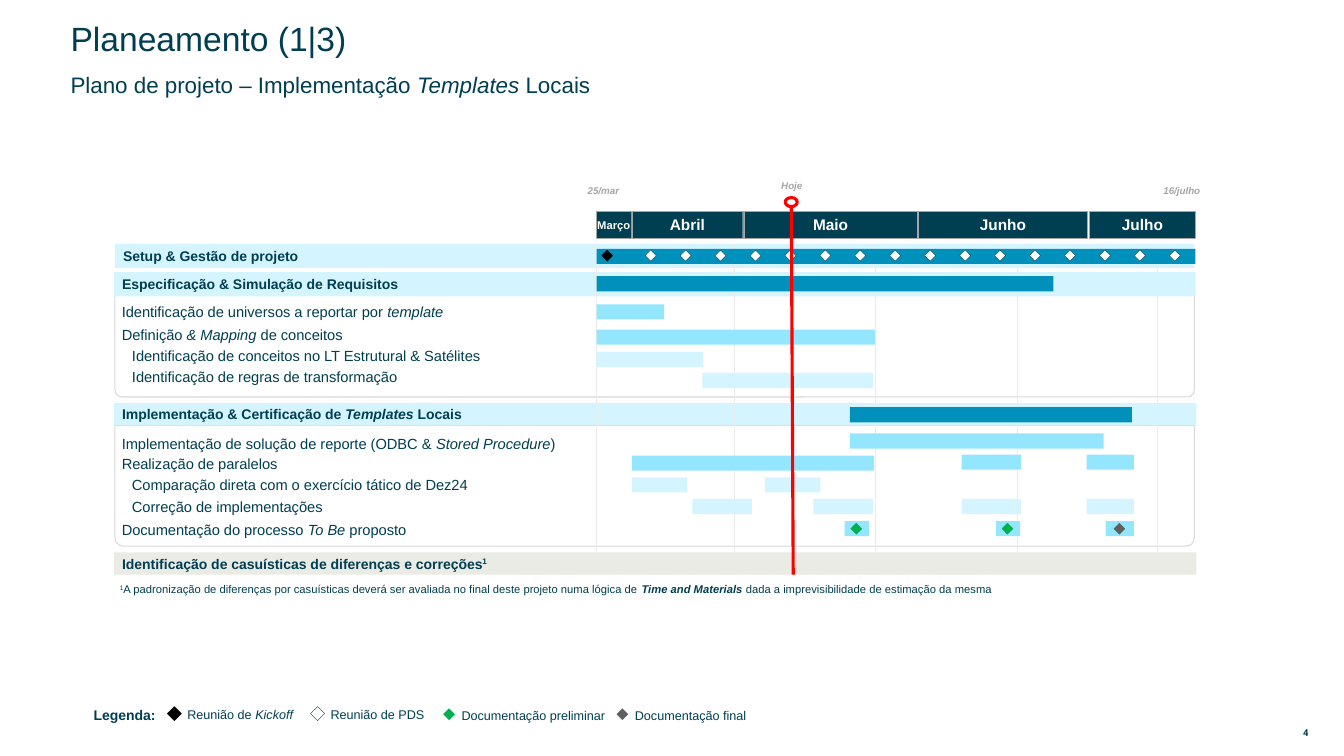
from lxml import etree
from pptx import Presentation
from pptx.dml.color import RGBColor
from pptx.enum.shapes import MSO_CONNECTOR, MSO_SHAPE
from pptx.enum.text import MSO_ANCHOR, MSO_AUTO_SIZE, PP_ALIGN
from pptx.oxml.ns import qn
from pptx.util import Pt

RECTANGLE = MSO_SHAPE.RECTANGLE
DIAMOND = MSO_SHAPE.DIAMOND
OVAL = MSO_SHAPE.OVAL
PANEL = MSO_SHAPE.ROUND_2_SAME_RECTANGLE
STRAIGHT = MSO_CONNECTOR.STRAIGHT
TOP, MIDDLE = MSO_ANCHOR.TOP, MSO_ANCHOR.MIDDLE
LEFT, CENTER = PP_ALIGN.LEFT, PP_ALIGN.CENTER
NO_AUTOFIT = MSO_AUTO_SIZE.NONE

NAVY, BLUE, SKY, PALE = "003E51", "0090BC", "94E6FF", "D4F5FF"
WHITE, BLACK, RED, GREEN = "FFFFFF", "000000", "FF0000", "00B050"
DARK_GRAY, GRAY, SAND = "5F5F5F", "A6A6A6", "EBEBE6"
GRID_COLOR, PANEL_COLOR = "EBEBEB", "D9D9D9"

CHART_LEFT = 426.2
MONTHS = [("Março", CHART_LEFT, 24.5, 8), ("Abril", 451.4, 79.2, 11),
          ("Maio", 531.4, 123.8, 11), ("Junho", 655.9, 121, 11), ("Julho", 778.3, 75.6, 11)]
DATES = [("25/mar", 405.4, 128.2), ("16/julho", 818.6, 128.2), ("Hoje", 540, 124.6)]
GRID = [CHART_LEFT, 524.2, 625, 726.5, 826.6]
BANDS = [
    (82.1, 174.2, 771.1, 17.3, PALE, [("Setup & Gestão de projeto", "")]),
    (81.4, 194.4, 772.6, 17.3, PALE, [("Especificação & Simulação de Requisitos", "")]),
    (81.4, 288, 773.3, 15.8, PALE,
     [("Implementação & Certificação de ", ""), ("Templates ", "i"), ("Locais", "")]),
    (81.4, 394.6, 773.3, 15.8, SAND,
     [("Identificação de casuísticas de diferenças e correções", ""), ("1", "s")]),
]
TASKS = [
    (213.8, 17.3, 0, [("Identificação de universos a reportar por ", ""), ("template", "i")]),
    (231.1, 15.8, 0, [("Definição", ""), (" & Mapping", "i"), (" de conceitos", "")]),
    (247, 14.4, 1, [("Identificação de conceitos no LT Estrutural & Satélites", "")]),
    (261.4, 15.8, 1, [("Identificação de regras de transformação", "")]),
    (307.4, 19.4, 0, [("Implementação de solução de reporte (ODBC & ", ""),
                      ("Stored Procedure", "i"), (")", "")]),
    (323.3, 15.8, 0, [("Realização de paralelos", "")]),
    (339.1, 14.4, 1, [("Comparação direta com o exercício tático de Dez24", "")]),
    (354.2, 15.8, 1, [("Correção de implementações", "")]),
    (370.8, 14.4, 0, [("Documentação do processo ", ""), ("To Be", "i"), (" proposto", "")]),
]
BARS = [
    (177.8, BLUE, [(CHART_LEFT, 427.7)]),
    (197.3, BLUE, [(CHART_LEFT, 326.2)]),
    (217.4, SKY, [(CHART_LEFT, 48.2)]),
    (235.4, SKY, [(CHART_LEFT, 198.7)]),
    (251.3, PALE, [(CHART_LEFT, 76.3)]),
    (266.4, PALE, [(501.8, 121.7)]),
    (290.9, BLUE, [(607, 201.6)]),
    (309.6, SKY, [(607, 181.4)]),
    (325.4, SKY, [(451.4, 172.8)]),
    (324.7, SKY, [(686.9, 42.5), (776.2, 33.8)]),
    (341, PALE, [(451.4, 39.6), (546.5, 39.6)]),
    (356.4, PALE, [(494.6, 42.5), (581, 42.5), (686.9, 42.5), (776.2, 33.8)]),
    (372.2, SKY, [(603.4, 17.3), (711.4, 17.3), (789.8, 20.2)]),
]
DOCUMENTS = [(607.7, GREEN), (715.7, GREEN), (795.6, DARK_GRAY)]
LEGEND = [
    (119.5, 504.7, 10.1, BLACK, BLACK, 126.7, 500.4,
     [("Reunião de ", ""), ("Kickoff", "i")]),
    (221.8, 504.7, 10.1, WHITE, NAVY, 229, 500.4, [("Reunião de PDS", "")]),
    (316.8, 506.2, 7.9, GREEN, GREEN, 322.6, 501.1, [("Documentação preliminar", "")]),
    (440.6, 506.2, 7.9, DARK_GRAY, DARK_GRAY, 446.4, 501.1, [("Documentação final", "")]),
]
FOOTNOTE = [
    ("1", "s"),
    ("A padronização de diferenças por casuísticas deverá ser avaliada no final deste "
     "projeto numa lógica de ", ""),
    ("Time and Materials ", "bi"),
    ("dada a imprevisibilidade de estimação da mesma", ""),
]


def color(value):
    """Turn a hex string into a colour."""
    return RGBColor.from_string(value)


def write(shape, runs, size, fill=NAVY, bold=False, italic=False, align=LEFT,
          anchor=MIDDLE, insets=(7.2, 3.6), spacing=1, font="Arial"):
    """Write one paragraph of (text, style) runs into a shape."""
    frame = shape.text_frame
    frame.auto_size = NO_AUTOFIT
    frame.word_wrap = True
    frame.vertical_anchor = anchor
    frame.margin_left, frame.margin_right = Pt(insets[0]), Pt(min(insets[0], 7.2))
    frame.margin_top = frame.margin_bottom = Pt(insets[1])
    paragraph = frame.paragraphs[0]
    paragraph.alignment = align
    paragraph.line_spacing = spacing
    paragraph.font.name = font
    paragraph.font.size = Pt(size)
    paragraph.font.bold = bold
    paragraph.font.italic = italic
    paragraph.font.color.rgb = color(fill)
    for text, style in runs:
        run = paragraph.add_run()
        run.text = text
        if "i" in style:
            run.font.italic = True
        if "b" in style:
            run.font.bold = True
        if "s" in style:
            run.font._element.set("baseline", "30000")
    return paragraph


def place(shape, left, top, width, height):
    """Move and size a shape."""
    shape.left, shape.top = Pt(left), Pt(top)
    shape.width, shape.height = Pt(width), Pt(height)


def add_text(slide, left, top, width, height, runs, size, **options):
    """Add a text box."""
    box = slide.shapes.add_textbox(Pt(left), Pt(top), Pt(width), Pt(height))
    write(box, runs, size, **options)


def add_figure(slide, kind, left, top, width, height, fill=None, line=None, weight=0.25):
    """Add a flat preset shape with optional fill and outline."""
    shape = slide.shapes.add_shape(kind, Pt(left), Pt(top), Pt(width), Pt(height))
    shape.shadow.inherit = False
    if fill:
        shape.fill.solid()
        shape.fill.fore_color.rgb = color(fill)
    else:
        shape.fill.background()
    if line:
        shape.line.color.rgb = color(line)
        shape.line.width = Pt(weight)
    else:
        shape.line.fill.background()
    return shape


def add_line(slide, start, end, line, weight):
    """Add a straight line between two points."""
    connector = slide.shapes.add_connector(STRAIGHT, *[Pt(value) for value in start + end])
    connector.line.color.rgb = color(line)
    connector.line.width = Pt(weight)
    etree.SubElement(connector._element.spPr, qn("a:effectLst"))


def add_headings(slide):
    """Fill the title and subtitle placeholders."""
    title, subtitle = slide.shapes.title, slide.placeholders[1]
    place(title, 43.2, 19.4, 572.4, 18.7)
    write(title, [("Planeamento (1|3)", "")], 24, spacing=0.9)
    place(subtitle, 43.2, 52.6, 551.5, 18.7)
    runs = [("Plano de projeto – Implementação ", ""), ("Templates", "i"), (" Locais", "")]
    properties = subtitle.text_frame.paragraphs[0]._p.get_or_add_pPr()
    properties.set("marL", "0")
    properties.set("indent", "0")
    etree.SubElement(properties, qn("a:buNone"))
    write(subtitle, runs, 16, spacing=0.9).space_before = Pt(0)


def add_rows(slide):
    """Add the panels, section bands, grid lines and task names."""
    for top, height in ((210.2, 73.4), (303.8, 86.4)):
        panel = add_figure(slide, PANEL, 82.1, top, 771.1, height, line=PANEL_COLOR, weight=0.75)
        panel.adjustments[0], panel.adjustments[1] = 0, 0.07
    for left, top, width, height, fill, runs in BANDS[:-1]:
        add_band(slide, left, top, width, height, fill, runs)
    for left in GRID:
        add_line(slide, (left, 174.2), (left, 409.7), GRID_COLOR, 0.25)
    add_band(slide, *BANDS[-1])
    for top, height, level, runs in TASKS:
        add_text(slide, 79.9, top, 355.7, height, runs, 10.5, insets=(7.2 * (level + 1), 3.6))


def add_band(slide, left, top, width, height, fill, runs):
    """Add a section band with its name."""
    band = add_figure(slide, RECTANGLE, left, top, width, height, fill)
    write(band, runs, 10, bold=True, insets=(5.8, 0))


def add_schedule(slide):
    """Add the months, bars and milestones."""
    for name, left, width, size in MONTHS:
        month = add_figure(slide, RECTANGLE, left, 151.2, width, 18.7, NAVY, GRAY)
        write(month, [(name, "")], size, WHITE, bold=True, align=CENTER, insets=(0, 3.6))
    for top, fill, spans in BARS:
        for left, width in spans:
            add_figure(slide, RECTANGLE, left, top, width, 10.8, fill)
    add_figure(slide, DIAMOND, 429.8, 178.6, 7.9, 7.9, BLACK, BLACK)
    for week in range(16):
        add_figure(slide, DIAMOND, 460.8 + 24.96 * week, 178.6, 7.9, 7.9, WHITE, NAVY)
    for left, fill in DOCUMENTS:
        add_figure(slide, DIAMOND, left, 373.7, 7.9, 7.9, fill, fill)
    add_line(slide, (565.2, 144), (566.6, 410.4), RED, 2.25)
    add_figure(slide, OVAL, 560.9, 141.1, 8.6, 6.5, WHITE, RED, 2.25)
    for name, left, top in DATES:
        add_text(slide, left, top, 51.1, 15.8, [(name, "")], 7, fill=GRAY, bold=True,
                 italic=True, align=CENTER, anchor=TOP, insets=(0, 3.6))


def add_notes_and_legend(slide):
    """Add the footnote, the legend and the page number."""
    add_text(slide, 78.5, 411.8, 778.3, 17.3, FOOTNOTE, 8, anchor=TOP, spacing=1.1)
    add_text(slide, 59.8, 499.7, 66, 20.9, [("Legenda:", "")], 10, bold=True,
             anchor=TOP, spacing=1.1)
    for left, top, size, fill, line, text_left, text_top, runs in LEGEND:
        add_figure(slide, DIAMOND, left, top, size, size, fill, line)
        add_text(slide, text_left, text_top, 121.7, 19.4, runs, 9, anchor=TOP, spacing=1.1)
    add_text(slide, 916.6, 517.7, 32.4, 11.5, [("4", "")], 6.8, bold=True, align=CENTER,
             insets=(4.3, 2.2), font="Roboto")


def main():
    """Build and save the planning slide."""
    presentation = Presentation()
    presentation.slide_width, presentation.slide_height = Pt(960), Pt(540)
    slide = presentation.slides.add_slide(presentation.slide_layouts[1])
    add_headings(slide)
    add_rows(slide)
    add_schedule(slide)
    add_notes_and_legend(slide)
    presentation.save("out.pptx")


if __name__ == "__main__":
    main()
